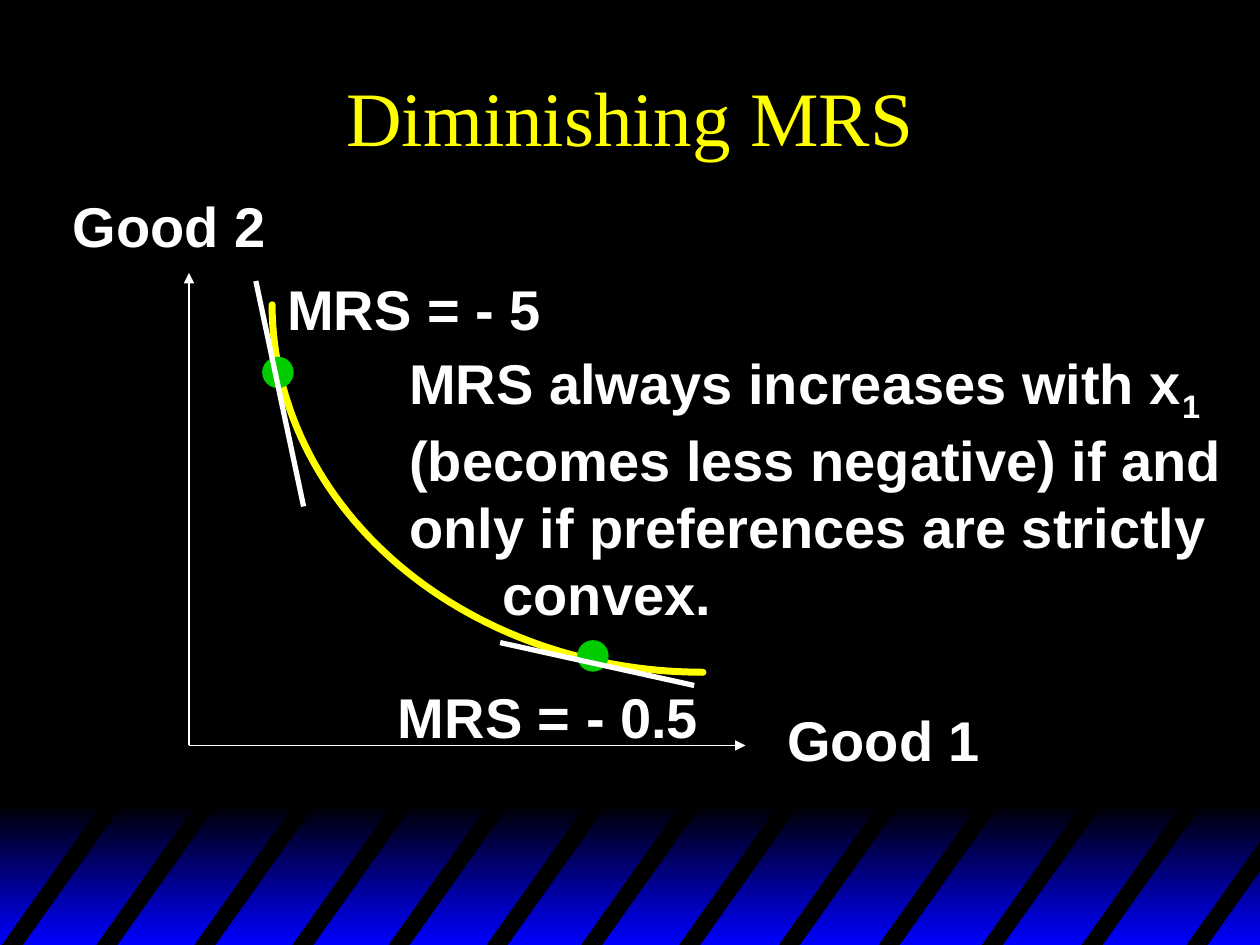
from dataclasses import dataclass
from math import cos, pi, sin

from lxml.etree import SubElement
from pptx import Presentation
from pptx.dml.color import RGBColor
from pptx.enum.shapes import MSO_CONNECTOR, MSO_SHAPE
from pptx.enum.text import MSO_ANCHOR, MSO_AUTO_SIZE, PP_ALIGN
from pptx.oxml.ns import qn
from pptx.util import Pt


@dataclass(frozen=True)
class Theme:
    black: RGBColor = RGBColor(0x00, 0x00, 0x00)
    blue: RGBColor = RGBColor(0x00, 0x00, 0xFF)
    white: RGBColor = RGBColor(0xFF, 0xFF, 0xFF)
    yellow: RGBColor = RGBColor(0xFF, 0xFF, 0x00)
    green: RGBColor = RGBColor(0x00, 0xCC, 0x00)
    title_font: str = "Times New Roman"
    body_font: str = "Arial"
    title_size: int = 44
    body_size: int = 32


@dataclass(frozen=True)
class Box:
    x: float
    y: float
    w: float
    h: float

    def at(self, dx, dy):
        return Pt(self.x + dx), Pt(self.y + dy)

    def inner(self, dx, dy, w, h):
        return Box(self.x + dx, self.y + dy, w, h)

    def emu(self):
        return Pt(self.x), Pt(self.y), Pt(self.w), Pt(self.h)


THEME = Theme()


def add_frame(s, box, wrap=True):
    tf = s.shapes.add_textbox(*box.emu()).text_frame
    tf.word_wrap = wrap
    return tf


def add_run(p, text, subscript=False):
    r = p.add_run()
    r.text = text
    r.font.name = THEME.body_font
    r.font.size = Pt(THEME.body_size)
    r.font.bold = True
    r.font.color.rgb = THEME.white
    if subscript:
        r.font._element.set("baseline", "-25000")


def add_label(s, box, text):
    tf = add_frame(s, box, wrap=False)
    tf.auto_size = MSO_AUTO_SIZE.SHAPE_TO_FIT_TEXT
    add_run(tf.paragraphs[0], text)


def add_line(s, start, end, width, arrow=False):
    c = s.shapes.add_connector(MSO_CONNECTOR.STRAIGHT, *start, *end)
    c.line.color.rgb = THEME.white
    c.line.width = Pt(width)
    if arrow:
        SubElement(c.line._get_or_add_ln(), qn("a:tailEnd"), type="triangle")
    SubElement(c._element.spPr, qn("a:effectLst"))


def add_outline(s, points, close):
    fb = s.shapes.build_freeform(*points[0])
    fb.add_line_segments(points[1:], close=close)
    sp = fb.convert_to_shape()
    sp.shadow.inherit = False
    return sp


def draw_footer(s, box):
    band = s.shapes.add_shape(MSO_SHAPE.RECTANGLE, *box.emu())
    band.shadow.inherit = False
    band.line.fill.background()
    band.fill.gradient()
    band.fill.gradient_angle = 270
    stops = band.fill.gradient_stops
    for stop, position, color in zip(stops, (0, 1), (THEME.black, THEME.blue)):
        stop.position = position
        stop.color.rgb = color

    top, bottom, run, thick = -3, box.h + 1.5, 60.3, 12
    slope = (bottom - top) / run
    for left in (0, 54, 110, 166, 221, 277, 331, 387, 444, 501, 560, 617, 677):
        edges = []
        for start in (left, left + thick):
            end = min(start + run, box.w + 1.5)
            edges.append((box.at(start, bottom),
                          box.at(end, bottom - (end - start) * slope)))
        (low1, high1), (low2, high2) = edges
        stripe = add_outline(s, [low1, high1, high2, low2], close=True)
        stripe.fill.solid()
        stripe.fill.fore_color.rgb = THEME.black
        stripe.line.fill.background()


def draw_title(s, box, text):
    tf = add_frame(s, box)
    tf.vertical_anchor = MSO_ANCHOR.MIDDLE
    p = tf.paragraphs[0]
    p.alignment = PP_ALIGN.CENTER
    r = p.add_run()
    r.text = text
    r.font.name = THEME.title_font
    r.font.size = Pt(THEME.title_size)
    r.font.color.rgb = THEME.yellow


def draw_indifference_curve(s, box):
    steps = 60
    angles = [pi / 2 * i / steps for i in range(steps + 1)]
    points = [box.at(box.w * (1 - cos(a)), box.h * sin(a)) for a in angles]
    curve = add_outline(s, points, close=False)
    curve.fill.background()
    curve.line.color.rgb = THEME.yellow
    curve.line.width = Pt(4)
    curve.line._get_or_add_ln().set("cap", "rnd")


def draw_graph(s, box):
    origin = box.at(0, box.h)
    for end in (box.at(0, 0), box.at(box.w, box.h)):
        add_line(s, origin, end, 1, arrow=True)
    draw_indifference_curve(s, box.inner(47.5, 18.2, 246.2, 210))

    for dx, dy in ((221.8, 209.8), (41.8, 47.8)):
        dot = s.shapes.add_shape(MSO_SHAPE.OVAL, *box.inner(dx, dy, 18, 18).emu())
        dot.shadow.inherit = False
        dot.fill.solid()
        dot.fill.fore_color.rgb = THEME.green
        dot.line.fill.background()

    for start, end in (((38.2, 4.6), (65.5, 133.4)),
                       ((177.8, 211.2), (288.7, 235.7))):
        add_line(s, box.at(*start), box.at(*end), 3)

    for text, dx, dy, w in (("Good 2", -73.4, -50.2, 125.3),
                            ("Good 1", 334.8, 243.6, 125.3),
                            ("MRS = - 5", 49, -2.6, 160),
                            ("MRS = - 0.5", 112.3, 230.6, 186.5)):
        add_label(s, box.inner(dx, dy, w, 45.4), text)


def draw_remark(s, box):
    tf = add_frame(s, box)
    p = tf.paragraphs[0]
    add_run(p, "MRS always increases with x")
    add_run(p, "1", subscript=True)
    add_run(p, " (becomes less negative) if and only if preferences are strictly")
    p = tf.add_paragraph()
    p._p.get_or_add_pPr().set("marL", str(Pt(53.3)))
    add_run(p, "convex.")


def main():
    prs = Presentation()
    prs.slide_width, prs.slide_height = Pt(720), Pt(540)
    s = prs.slides.add_slide(prs.slide_layouts[6])
    s.background.fill.solid()
    s.background.fill.fore_color.rgb = THEME.black
    draw_footer(s, Box(0, 459.5, 720, 80.5))
    draw_title(s, Box(54, 18, 612, 96), "Diminishing MRS")
    draw_graph(s, Box(108, 156, 318, 270))
    draw_remark(s, Box(226.8, 195.8, 487.4, 166.3))
    prs.save("out.pptx")


if __name__ == "__main__":
    main()
